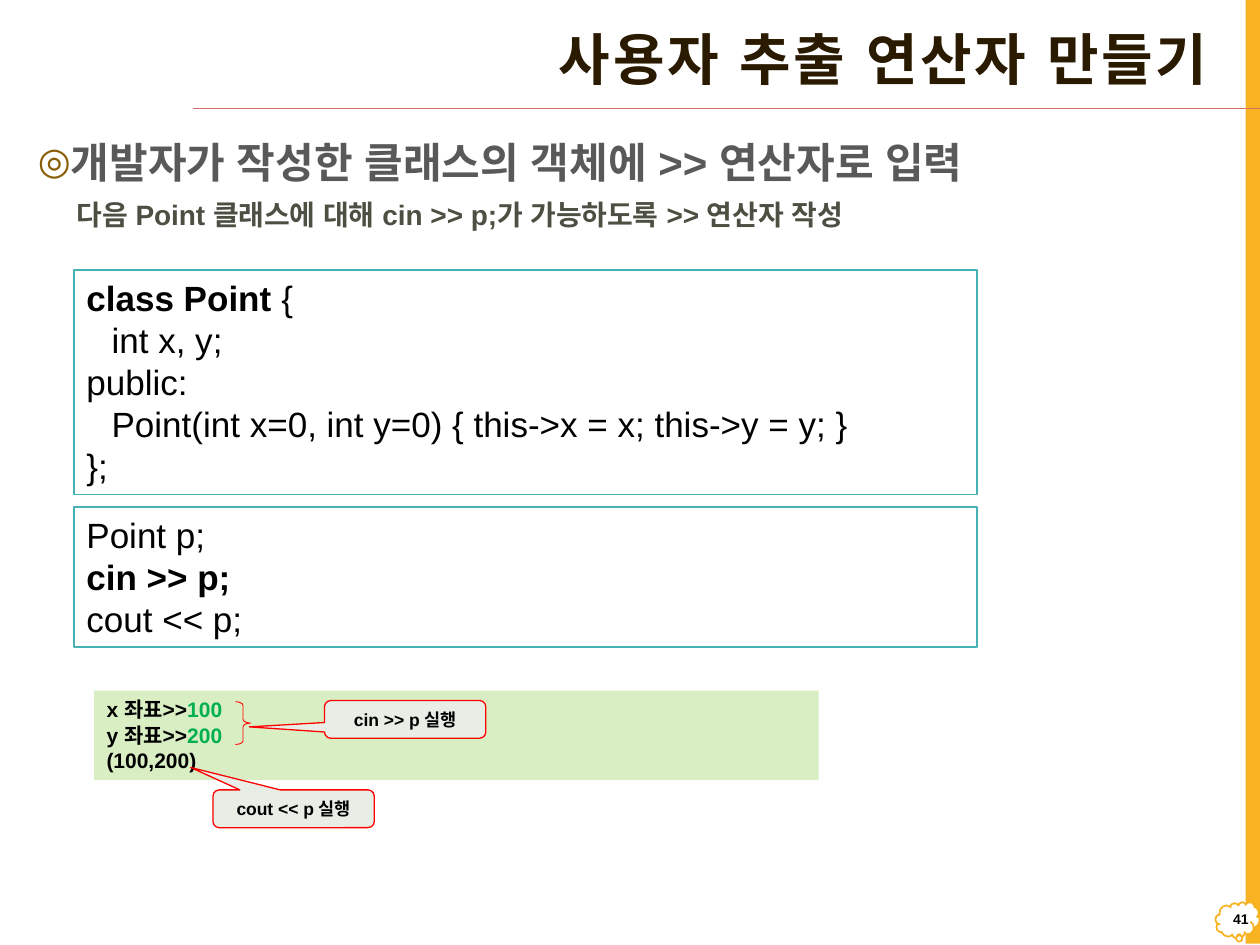
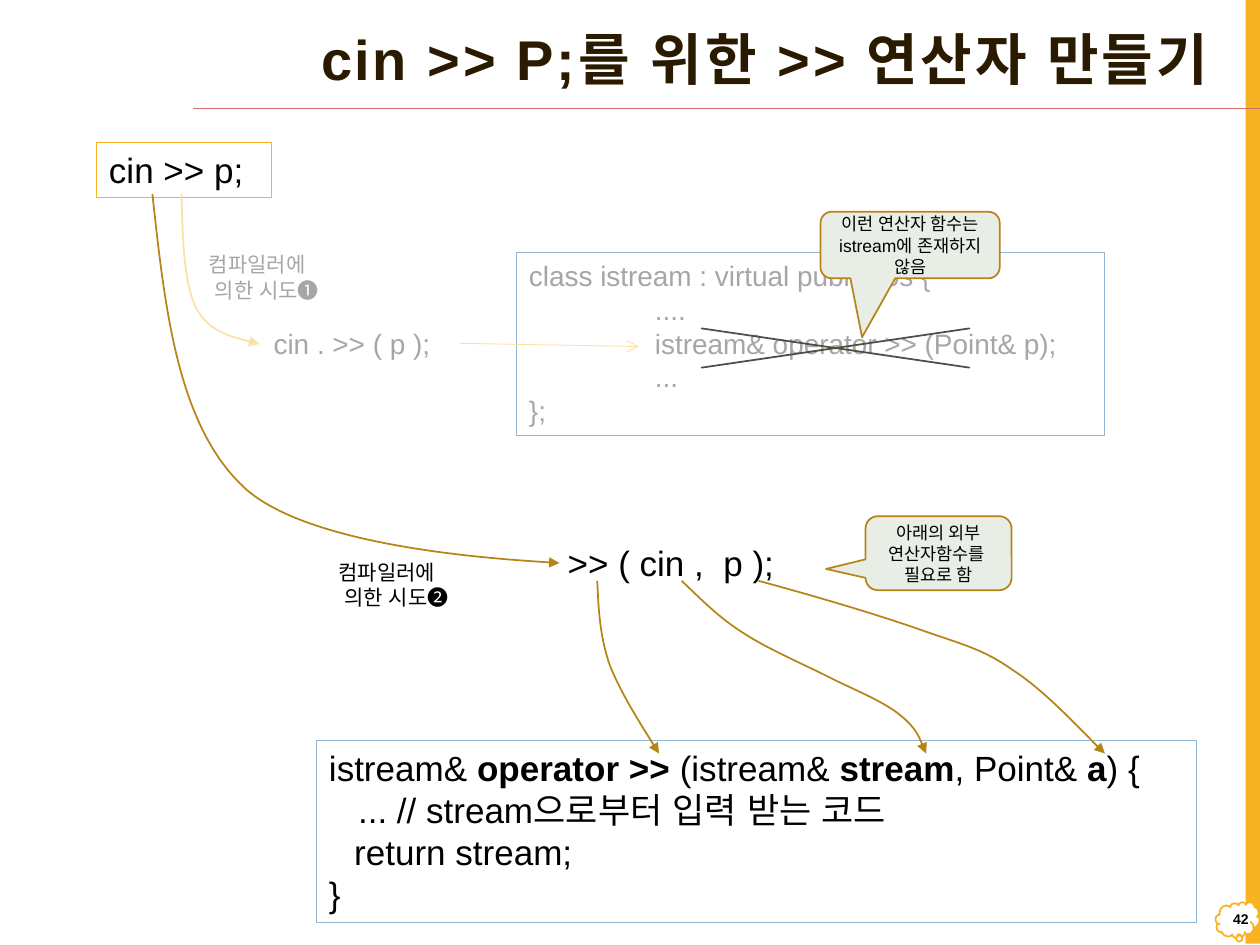
"""Build two slides on writing a user-defined >> extraction operator in C++."""
from dataclasses import dataclass

from lxml.etree import SubElement
from pptx import Presentation
from pptx.dml.color import RGBColor
from pptx.enum.shapes import MSO_CONNECTOR, MSO_SHAPE
from pptx.enum.text import MSO_ANCHOR, MSO_AUTO_SIZE, PP_ALIGN
from pptx.oxml.ns import qn
from pptx.util import Pt


@dataclass(frozen=True)
class Theme:
    font: str = "Arial"
    title_font: str = "Arial Narrow"
    amber: str = "F8B323"
    pale_amber: str = "FCE1A7"
    bronze: str = "B7841A"
    title: str = "2A1A00"
    rule: str = "D36F68"
    heading: str = "595959"
    bullet: str = "895E04"
    olive: str = "4C5043"
    teal: str = "46B2B5"
    blue: str = "94B6D2"
    console: str = "DAEEC4"
    entered: str = "00B050"
    callout: str = "E8EEE5"
    red: str = "FF0000"
    faded: str = "A6A6A6"
    black: str = "000000"
    white: str = "FFFFFF"
    title_size: float = 32
    heading_size: float = 24
    code_size: float = 20
    sub_size: float = 16
    label_size: float = 12
    callout_size: float = 10
    number_size: float = 8


theme = Theme()


def draw(slide, kind, place, fill=None, line=None, width=1, adjust=()):
    """Add a preset shape at (left, top, width, height) in points."""
    shape = slide.shapes.add_shape(kind, *map(Pt, place))
    shape.shadow.inherit = False
    for index, value in enumerate(adjust):
        shape.adjustments[index] = value
    if fill:
        shape.fill.solid()
        shape.fill.fore_color.rgb = RGBColor.from_string(fill)
    else:
        shape.fill.background()
    if line:
        shape.line.color.rgb = RGBColor.from_string(line)
        shape.line.width = Pt(width)
    else:
        shape.line.fill.background()
    return shape


def write(shape, text, size, color=theme.black, bold=False, align=PP_ALIGN.LEFT,
          anchor=MSO_ANCHOR.TOP, highlight=None, tab=None, font=theme.font):
    """Fill a shape with text; parts between | marks are bold or highlighted."""
    frame = shape.text_frame
    frame.text = text
    frame.word_wrap = True
    frame.auto_size = MSO_AUTO_SIZE.NONE
    frame.vertical_anchor = anchor
    for paragraph in frame.paragraphs:
        paragraph.alignment = align
        if tab:
            stops = SubElement(paragraph._p.get_or_add_pPr(), qn("a:tabLst"))
            SubElement(stops, qn("a:tab"), pos=str(Pt(tab)), algn="l")
        parts = paragraph.text.split("|")
        paragraph.text = ""
        for index, part in enumerate(parts):
            if not part:
                continue
            run = paragraph.add_run()
            run.text = part
            marked = index % 2 == 1
            run.font.name = font
            run.font.size = Pt(size)
            run.font.bold = bold or marked
            run.font.color.rgb = RGBColor.from_string(
                highlight if marked and highlight else color)
            SubElement(run.font._element, qn("a:ea"), typeface=theme.font)
    return frame


prs = Presentation()
prs.slide_width, prs.slide_height = Pt(720), Pt(540)
extraction = prs.slides.add_slide(prs.slide_layouts[1])
resolution = prs.slides.add_slide(prs.slide_layouts[5])
strokes = []

band = draw(extraction, MSO_SHAPE.RECTANGLE, (711.8, -0.7, 8.2, 540), theme.amber)
cloud = draw(extraction, MSO_SHAPE.CLOUD_CALLOUT, (694.6, 515.5, 25.2, 20.9),
             theme.white, theme.amber, adjust=(0.034, 0.431))
rule = extraction.shapes.add_connector(
    MSO_CONNECTOR.STRAIGHT, Pt(720), Pt(62), Pt(110.2), Pt(62))
strokes.append((rule, theme.rule, 1, None))
for shared in (band, cloud, rule):
    prs.slide_master.shapes._spTree.append(shared._element)

headers = [
    (extraction, "사용자 추출 연산자 만들기", theme.title_font),
    (resolution, "cin >> P;를 위한 >> 연산자 만들기", theme.font),
]
for number, (slide, heading, font) in enumerate(headers, start=41):
    title = slide.shapes.title
    title.left, title.top, title.width, title.height = map(Pt, (95, 9.4, 602.5, 52.5))
    write(title, heading, theme.title_size, theme.title, True, PP_ALIGN.RIGHT,
          MSO_ANCHOR.MIDDLE, font=font)
    title.text_frame.paragraphs[0].line_spacing = 0.9
    for run in title.text_frame.paragraphs[0].runs:
        run.font._element.set("spc", "150")
    page = slide.shapes.add_textbox(*map(Pt, (695.5, 512.6, 25.2, 25.2)))
    write(page, str(number), theme.number_size, bold=True, align=PP_ALIGN.RIGHT,
          anchor=MSO_ANCHOR.MIDDLE)

goal = extraction.placeholders[1]
goal.left, goal.top, goal.width, goal.height = map(Pt, (14.4, 71.3, 686.2, 459.4))
write(goal, "개발자가 작성한 클래스의 객체에 >> 연산자로 입력",
      theme.heading_size, theme.heading, True)
goal_line = goal.text_frame.paragraphs[0]
goal_props = goal_line._p.get_or_add_pPr()
goal_props.set("marL", str(Pt(18)))
goal_props.set("indent", str(Pt(-18)))
bullet_color = SubElement(goal_props, qn("a:buClr"))
SubElement(bullet_color, qn("a:srgbClr"), val=theme.bullet)
SubElement(goal_props, qn("a:buSzPct"), val="90000")
SubElement(goal_props, qn("a:buChar"), char="◎")
goal_line.line_spacing = 1.1
goal_line.space_before = Pt(0)

task = extraction.shapes.add_textbox(*map(Pt, (36.7, 109.4, 601.2, 26.6)))
write(task, "다음 Point 클래스에 대해 cin >> p;가 가능하도록 >> 연산자 작성",
      theme.sub_size, theme.olive, True)

point_class = """|class Point |{
\tint x, y;
public:\t
\tPoint(int x=0, int y=0) { this->x = x; this->y = y; }
};"""
point_usage = "Point p;\n|cin >> p;|\ncout << p;"
for top, height, code in [(154.4, 128.2, point_class), (289.8, 79.9, point_usage)]:
    listing = draw(extraction, MSO_SHAPE.RECTANGLE, (42.3, top, 516, height),
                   theme.white, theme.teal)
    write(listing, code, theme.code_size, tab=14.4)

console = draw(extraction, MSO_SHAPE.RECTANGLE, (53.8, 394.7, 414, 51), theme.console)
write(console, "x 좌표>>|100|\ny 좌표>>|200|\n(100,200)", theme.label_size,
      bold=True, highlight=theme.entered)
draw(extraction, MSO_SHAPE.RIGHT_BRACE, (134.6, 401, 8.6, 24.5),
     line=theme.red, width=0.5, adjust=(0.249, 0.5))

resolution_boxes = [
    ((55.2, 81.4, 100.1, 31.7), "cin >> p;", theme.code_size, theme.black, theme.amber, None),
    ((149.3, 182.9, 113, 26.6), "cin . >> ( p );", theme.sub_size, theme.faded, None, None),
    ((295.2, 144.4, 336.2, 104.4), """class istream : virtual public ios {
\t....
\tistream& operator >> (Point& p);
\t...
};""", theme.sub_size, theme.faded, theme.blue, 72),
    ((317.3, 306, 144.7, 31.7), ">> ( cin ,  p );", theme.code_size, theme.black, None, None),
    ((180.9, 423.2, 503, 104), """istream& |operator >> |(istream& |stream|, Point& |a|) {
   ... // stream으로부터 입력 받는 코드
\treturn stream;
}""", theme.code_size, theme.black, theme.blue, 14.4),
]
for place, code, size, color, border, tab in resolution_boxes:
    if border:
        box = draw(resolution, MSO_SHAPE.RECTANGLE, place, line=border, width=0.75)
    else:
        box = resolution.shapes.add_textbox(*map(Pt, place))
    write(box, code, size, color, tab=tab)

draw(resolution, MSO_SHAPE.MATH_MULTIPLY, (330.2, 177.3, 294.5, 43.2),
     theme.amber, theme.olive, adjust=(0,))

callouts = [
    (extraction, (185.4, 400.3, 92.2, 21.6), (-0.966, 0.199), "cin >> p 실행"),
    (extraction, (121.7, 451.4, 92.2, 21.6), (-0.638, -1.092), "cout << p 실행"),
    (resolution, (468.9, 121, 102.4, 38), (-0.268, 1.386),
     "이런 연산자 함수는 istream에 존재하지 않음"),
    (resolution, (494.6, 295, 83.5, 42.3), (-0.77, 0.213),
     "아래의 외부 연산자함수를 \n필요로 함"),
]
for slide, place, tip, remark in callouts:
    executed = slide is extraction
    callout = draw(slide, MSO_SHAPE.ROUNDED_RECTANGULAR_CALLOUT, place, theme.callout,
                   theme.red if executed else theme.bronze,
                   0.75 if executed else 1, (*tip, 0.167))
    write(callout, remark, theme.callout_size, bold=executed,
          align=PP_ALIGN.CENTER, anchor=MSO_ANCHOR.MIDDLE)

attempts = [(112.3, 140.4, "❶", theme.faded), (186.5, 316.1, "❷", theme.black)]
for left, top, digit, color in attempts:
    attempt = resolution.shapes.add_textbox(Pt(left), Pt(top), Pt(86.4), Pt(36))
    write(attempt, f"컴파일러에\n 의한 시도{digit}", theme.label_size, color)

curves = [
    (theme.pale_amber, [(103.7, 110.9), (104.4, 136.8), (105.1, 162.7), (112.3, 176.4),
                        (120.2, 190.8), (148.3, 196.6), (148.3, 196.6)]),
    (theme.bronze, [(87.1, 110.9), (94.3, 177.1), (101.5, 244.1), (140.4, 279.4),
                    (179.3, 313.9), (319.7, 321.8), (319.7, 321.8)]),
    (theme.bronze, [(389.5, 331.9), (400.3, 342), (410.4, 352.8), (425.5, 362.2),
                    (439.9, 371.5), (462.2, 380.9), (477.4, 388.8),
                    (492.5, 396), (506.2, 401.8), (514.8, 409),
                    (523.4, 416.2), (526.3, 423.4), (529.2, 430.6)]),
    (theme.bronze, [(433.4, 331.9), (468, 341.3), (501.8, 351.4), (526.3, 360),
                    (550.8, 368.6), (561.6, 370.8), (578.9, 383),
                    (596.9, 394.6), (622.8, 422.6), (631.4, 430.6)]),
    (theme.bronze, [(341.3, 331.9), (342, 347.8), (342.7, 363.6), (348.5, 380.2),
                    (355, 396.7), (376.6, 430.6), (376.6, 430.6)]),
]
for color, controls in curves:
    start, *rest = [(Pt(x), Pt(y)) for x, y in controls]
    builder = resolution.shapes.build_freeform(*start, scale=1.0)
    builder.add_line_segments(rest, close=False)
    curve = builder.convert_to_shape()
    curve.fill.background()
    outline = next(curve._element.iter(qn("a:path")))
    corners = outline.findall(qn("a:lnTo"))
    for first in range(0, len(corners), 3):
        bezier = SubElement(outline, qn("a:cubicBezTo"))
        for corner in corners[first:first + 3]:
            bezier.append(corner[0])
            outline.remove(corner)
    strokes.append((curve, color, 1, "triangle"))

lookup = resolution.shapes.add_connector(
    MSO_CONNECTOR.STRAIGHT, Pt(262.8), Pt(196.2), Pt(365), Pt(198))
strokes.append((lookup, theme.pale_amber, 0.5, "arrow"))

for stroke, color, width, head in strokes:
    stroke.line.color.rgb = RGBColor.from_string(color)
    stroke.line.width = Pt(width)
    if head:
        SubElement(stroke.line._get_or_add_ln(), qn("a:tailEnd"), type=head)
    SubElement(stroke._element.spPr, qn("a:effectLst"))

prs.save("out.pptx")
